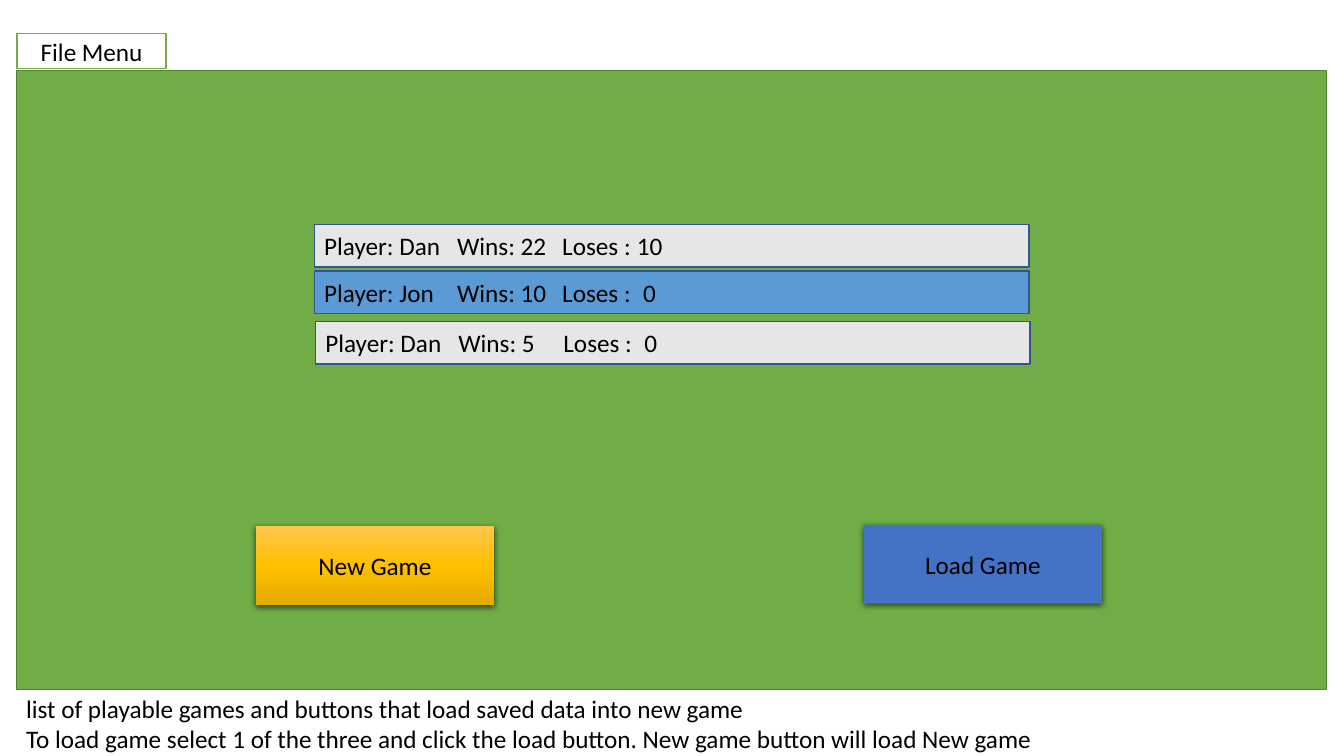
"""Build a slide that mocks up the load-game screen."""
from copy import deepcopy
from dataclasses import dataclass
from typing import Optional

from lxml.etree import SubElement
from pptx import Presentation
from pptx.dml.color import RGBColor
from pptx.enum.shapes import MSO_SHAPE
from pptx.enum.text import MSO_ANCHOR, MSO_AUTO_SIZE, PP_ALIGN
from pptx.oxml.ns import qn
from pptx.shapes.autoshape import Shape
from pptx.slide import Slide
from pptx.util import Cm, Pt

BLACK = RGBColor(0x00, 0x00, 0x00)
WHITE = RGBColor(0xFF, 0xFF, 0xFF)
GREEN = RGBColor(0x70, 0xAD, 0x47)
DARK_GREEN = RGBColor(0x53, 0x80, 0x35)
GREY = RGBColor(0xE7, 0xE6, 0xE6)
SKY = RGBColor(0x5B, 0x9B, 0xD5)
NAVY = RGBColor(0x32, 0x54, 0x91)
BLUE = RGBColor(0x44, 0x72, 0xC4)
GOLD = (RGBColor(0xFF, 0xC6, 0x4B), RGBColor(0xFF, 0xC0, 0x00),
        RGBColor(0xE3, 0xAB, 0x00))

FONT = {"name": "Calibri", "size": Pt(18)}
BOX_TEXT = {"word_wrap": True, "vertical_anchor": MSO_ANCHOR.MIDDLE}
CAPTION_TEXT = {"word_wrap": True, "auto_size": MSO_AUTO_SIZE.SHAPE_TO_FIT_TEXT}
ROW_TABS = ((3.35, "l"), (6.0, "l"), (8.2, "ctr"))
CAPTION = ("list of playable games and buttons that load saved data into new game",
           "To load game select 1 of the three and click the load button. "
           "New game button will load New game")


@dataclass(frozen=True)
class Box:
    """A rectangle with lengths in centimetres."""
    left: float
    top: float
    width: float
    height: float
    fill: RGBColor
    line: Optional[RGBColor] = None
    text: str = ""
    align: PP_ALIGN = PP_ALIGN.CENTER


@dataclass(frozen=True)
class SavedGame:
    """One entry in the list of saved games."""
    left: float
    top: float
    player: str
    wins: int
    loses: int
    fill: RGBColor = GREY


TABLE = Box(0.41, 1.78, 33.02, 15.6, GREEN, DARK_GREEN)
MENU = Box(0.43, 0.84, 3.76, 0.89, WHITE, GREEN, "File Menu")
NEW_GAME = Box(6.45, 13.26, 6.0, 1.98, GOLD[1], text="New Game")
LOAD_GAME = Box(21.77, 13.23, 6.0, 1.98, BLUE, text="Load Game")
SAVED_GAMES = (SavedGame(7.92, 5.66, "Dan", 22, 10),
               SavedGame(7.92, 6.83, "Jon", 10, 0, SKY),
               SavedGame(7.95, 8.1, "Dan", 5, 0))


def apply(target: object, values: dict) -> None:
    """Set each attribute named in the format values."""
    for name, value in values.items():
        setattr(target, name, value)


def write(sp: Shape, lines: tuple, align: PP_ALIGN, frame: dict) -> None:
    """Fill a shape with one paragraph per line."""
    tf = sp.text_frame
    apply(tf, frame)
    for i, line in enumerate(lines):
        p = tf.add_paragraph() if i else tf.paragraphs[0]
        p.alignment = align
        r = p.add_run()
        r.text = line
        apply(r.font, FONT)
        r.font.color.rgb = BLACK


def add_box(s: Slide, box: Box) -> Shape:
    """Draw a rectangle with its fill, line and text."""
    sp = s.shapes.add_shape(MSO_SHAPE.RECTANGLE, Cm(box.left), Cm(box.top),
                            Cm(box.width), Cm(box.height))
    sp.shadow.inherit = False
    sp.fill.solid()
    sp.fill.fore_color.rgb = box.fill
    if box.line is None:
        sp.line.fill.background()
    else:
        sp.line.color.rgb = box.line
        sp.line.width = Pt(1)
    if box.text:
        write(sp, (box.text,), box.align, BOX_TEXT)
    return sp


def add_button(s: Slide, box: Box) -> Shape:
    """Draw a rectangle that casts a soft shadow downwards."""
    sp = add_box(s, box)
    effects = sp._element.spPr.find(qn("a:effectLst"))
    shadow = SubElement(effects, qn("a:outerShdw"), blurRad=str(Pt(4.5)),
                        dist=str(Pt(1.5)), dir="5400000", algn="ctr", rotWithShape="0")
    color = SubElement(shadow, qn("a:srgbClr"), val=str(BLACK))
    SubElement(color, qn("a:alpha"), val="63000")
    return sp


def shade(sp: Shape, colors: tuple) -> None:
    """Give a shape an evenly spaced gradient from top to bottom."""
    sp.fill.gradient()
    sp.fill.gradient_angle = 270
    stops = sp._element.spPr.find(qn("a:gradFill")).find(qn("a:gsLst"))
    stops.insert(1, deepcopy(stops[0]))
    for i, (stop, color) in enumerate(zip(sp.fill.gradient_stops, colors)):
        stop.position = i / (len(colors) - 1)
        stop.color.rgb = color


def add_saved_game(s: Slide, game: SavedGame) -> None:
    """Draw a saved game with its figures on tab stops."""
    text = f"Player: {game.player}\tWins: {game.wins}\tLoses :\t{game.loses}"
    sp = add_box(s, Box(game.left, game.top, 18.01, 1.07, game.fill, NAVY, text,
                        PP_ALIGN.LEFT))
    p = sp.text_frame.paragraphs[0]
    tabs = SubElement(p._p.get_or_add_pPr(), qn("a:tabLst"))
    for pos, align in ROW_TABS:
        SubElement(tabs, qn("a:tab"), pos=str(Cm(pos)), algn=align)


def main() -> None:
    """Build and save the slide."""
    prs = Presentation()
    apply(prs, {"slide_width": Cm(33.87), "slide_height": Cm(19.05)})
    s = prs.slides.add_slide(prs.slide_layouts[6])
    add_box(s, TABLE)
    add_box(s, MENU)
    shade(add_button(s, NEW_GAME), GOLD)
    add_button(s, LOAD_GAME)
    caption = s.shapes.add_textbox(Cm(0.41), Cm(17.35), Cm(33.02), Cm(1.8))
    write(caption, CAPTION, PP_ALIGN.LEFT, CAPTION_TEXT)
    for game in SAVED_GAMES:
        add_saved_game(s, game)
    prs.save("out.pptx")


main()
